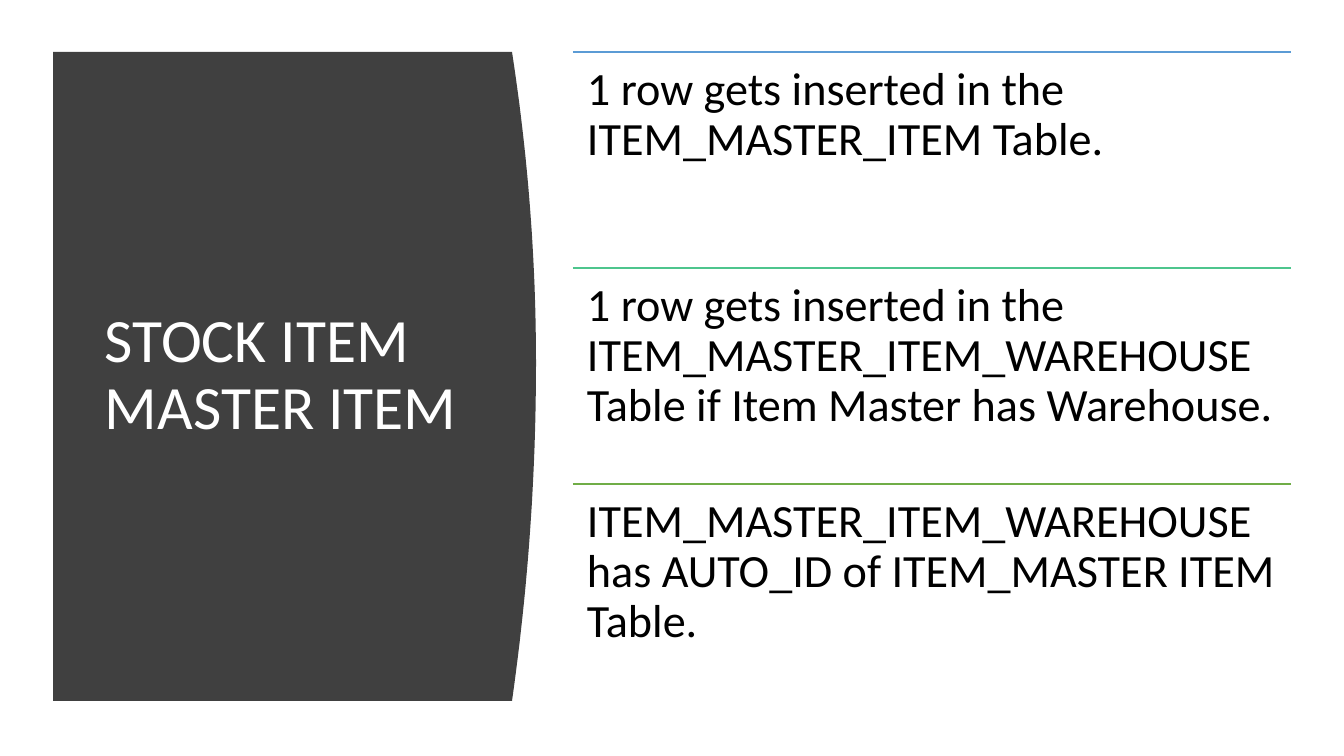
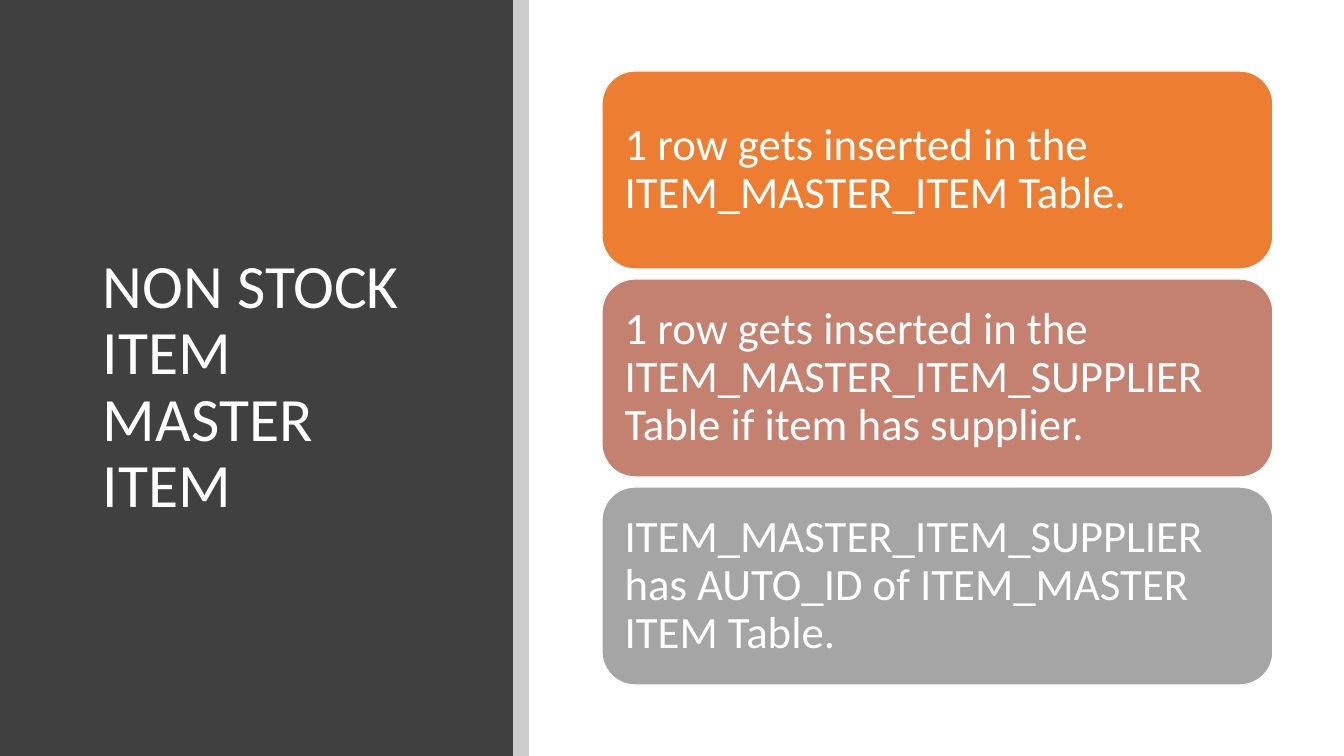
from dataclasses import dataclass

from lxml.etree import SubElement
from pptx import Presentation
from pptx.dml.color import RGBColor
from pptx.enum.shapes import MSO_CONNECTOR as Connector, MSO_SHAPE as Shape
from pptx.enum.text import MSO_ANCHOR as Anchor, PP_ALIGN as Align
from pptx.oxml.ns import qn
from pptx.util import Pt

EMU_PER_PX = 914400 / 100.8
SLIDE_W, SLIDE_H = 1344, 756


@dataclass(frozen=True)
class Theme:
    """Colours, font and type sizes shared by the slides."""
    font: str = "Calibri"
    panel: str = "404040"
    light: str = "FFFFFF"
    dark: str = "000000"
    rules: tuple = ("5B9BD5", "4DC58D", "70AD47")
    cards: tuple = ("ED7D31", "C48170", "A5A5A5")
    title_size: int = 44
    rule_text_size: int = 33
    card_text_size: int = 32
    line_width: int = 1
    line_spacing: float = 0.9


def px(length):
    """Turn pixels into EMU."""
    return round(length * EMU_PER_PX)


def rgb(colour):
    """Turn a hex string into a colour."""
    return RGBColor.from_string(colour)


class Deck:
    """Holds the theme and the current slide, and draws each kind of element."""

    def __init__(self, theme):
        """Start an empty presentation."""
        self.theme = theme
        self.prs = Presentation()
        self.prs.slide_width, self.prs.slide_height = px(SLIDE_W), px(SLIDE_H)
        self.slide = None

    def new_slide(self):
        """Add a blank slide and make it current."""
        self.slide = self.prs.slides.add_slide(self.prs.slide_layouts[6])

    def set_text(self, shape, text, size, colour, anchor, inset):
        """Set and format the text of a shape; inset is (x, y)."""
        frame = shape.text_frame
        frame.text = text
        frame.word_wrap = True
        frame.vertical_anchor = anchor
        frame.margin_left = frame.margin_right = px(inset[0])
        frame.margin_top = frame.margin_bottom = px(inset[1])
        for paragraph in frame.paragraphs:
            paragraph.alignment = Align.LEFT
            paragraph.line_spacing = self.theme.line_spacing
            for run in paragraph.runs:
                run.font.name = self.theme.font
                run.font.size = Pt(size)
                run.font.color.rgb = rgb(colour)

    def text(self, box, text, size, colour, anchor=Anchor.TOP, inset=(10, 5)):
        """Add a text box; box is (left, top, width, height)."""
        area = self.slide.shapes.add_textbox(*map(px, box))
        self.set_text(area, text, size, colour, anchor, inset)

    def title(self, box, text):
        """Add the white slide title, centred vertically."""
        self.text(box, text, self.theme.title_size, self.theme.light, Anchor.MIDDLE)

    def paint(self, shape, colour):
        """Give a shape a flat fill with no line or shadow."""
        shape.shadow.inherit = False
        shape.fill.solid()
        shape.fill.fore_color.rgb = rgb(colour)
        shape.line.fill.background()

    def block(self, box, colour, kind=Shape.RECTANGLE, opacity=100):
        """Add a filled preset shape, see-through when opacity is below 100."""
        block = self.slide.shapes.add_shape(kind, *map(px, box))
        self.paint(block, colour)
        if opacity < 100:
            fill = block._element.spPr.find(qn("a:solidFill"))
            SubElement(fill[0], qn("a:alpha"), val=str(opacity * 1000))
        return block

    def outline(self, points, colour):
        """Add a filled closed polygon."""
        start, *rest = [(px(x), px(y)) for x, y in points]
        builder = self.slide.shapes.build_freeform(*start, scale=1.0)
        builder.add_line_segments(rest, close=True)
        self.paint(builder.convert_to_shape(), colour)

    def rule(self, left, top, width, colour):
        """Add a thin horizontal line."""
        rule = self.slide.shapes.add_connector(
            Connector.STRAIGHT, px(left), px(top), px(left + width), px(top))
        rule.line.color.rgb = rgb(colour)
        rule.line.width = Pt(self.theme.line_width)
        SubElement(rule._element.spPr, qn("a:effectLst"))

    def card(self, box, text, colour):
        """Add a rounded card with a white edge and white text."""
        card = self.block(box, colour, Shape.ROUNDED_RECTANGLE)
        card.line.color.rgb = rgb(self.theme.light)
        card.line.width = Pt(self.theme.line_width)
        self.set_text(card, text, self.theme.card_text_size, self.theme.light,
                      Anchor.MIDDLE, (13, 13))


def bulging_panel(left, top, edge, bottom, bulge, peak, steps=24):
    """Outline a panel whose right side bows out by bulge at height peak."""
    points = [(left, top)]
    for step in range(2 * steps + 1):
        reach = step / steps - 1
        end = top if reach < 0 else bottom
        points.append((edge + bulge * (1 - reach ** 2),
                       peak + abs(reach) * (end - peak)))
    return points + [(left, bottom)]


def stock_slide(deck):
    """Stock items: a bowed title panel and three ruled statements."""
    theme = deck.theme
    statements = (
        "1 row gets inserted in the ITEM_MASTER_ITEM Table.",
        "1 row gets inserted in the ITEM_MASTER_ITEM_WAREHOUSE Table "
        "if Item Master has Warehouse.",
        "ITEM_MASTER_ITEM_WAREHOUSE has AUTO_ID of ITEM_MASTER ITEM Table.",
    )
    left, first_top, width, pitch = 573, 52, 718, 216
    deck.new_slide()
    deck.outline(bulging_panel(53, 52, 512, 701, bulge=24, peak=363), theme.panel)
    deck.title((95, 112, 377, 528), "STOCK ITEM MASTER ITEM")
    for row, (statement, colour) in enumerate(zip(statements, theme.rules)):
        top = first_top + row * pitch
        deck.rule(left, top, width, colour)
        deck.text((left, top, width, pitch), statement, theme.rule_text_size,
                  theme.dark, inset=(14, 14))


def non_stock_slide(deck):
    """Non-stock items: a full-height title panel and three cards."""
    theme = deck.theme
    statements = (
        "1 row gets inserted in the ITEM_MASTER_ITEM Table.",
        "1 row gets inserted in the ITEM_MASTER_ITEM_SUPPLIER Table "
        "if item has supplier.",
        "ITEM_MASTER_ITEM_SUPPLIER has AUTO_ID of ITEM_MASTER ITEM Table.",
    )
    panel_width, strip_width = 513, 16
    left, first_top, width, height, gap = 602, 71, 671, 198, 10
    deck.new_slide()
    deck.block((0, 0, panel_width, SLIDE_H), theme.panel)
    deck.title((93, 90, 368, 596), "NON STOCK ITEM MASTER ITEM")
    deck.block((panel_width, 0, strip_width, SLIDE_H), theme.dark, opacity=20)
    for row, (statement, colour) in enumerate(zip(statements, theme.cards)):
        top = first_top + row * (height + gap)
        deck.card((left, top, width, height), statement, colour)


def main():
    """Build both slides and save them."""
    deck = Deck(Theme())
    stock_slide(deck)
    non_stock_slide(deck)
    deck.prs.save("out.pptx")


main()
